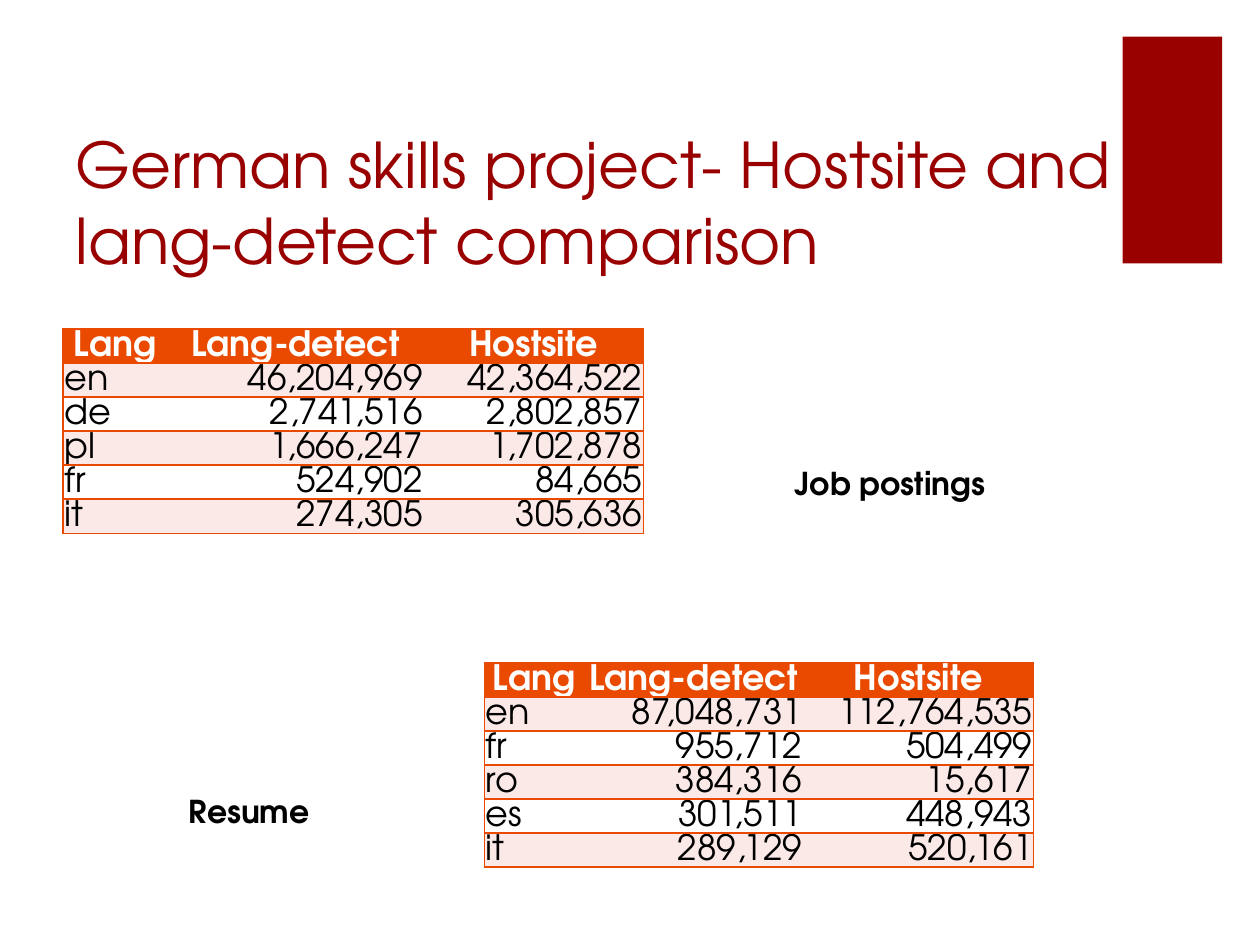
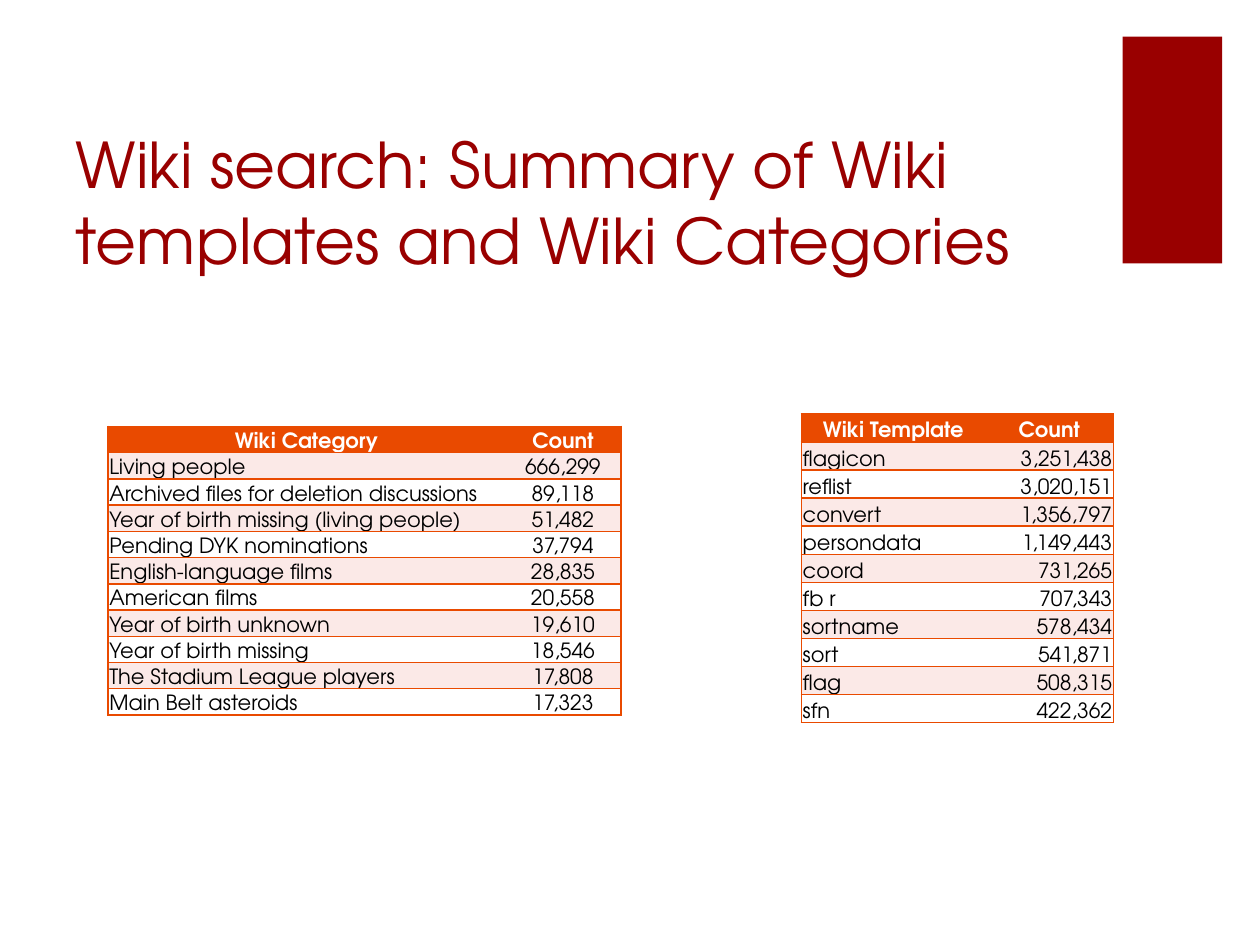
"""Build two slides that compare language counts and wiki counts in tables."""
from dataclasses import dataclass

from lxml import etree
from pptx import Presentation
from pptx.dml.color import RGBColor
from pptx.enum import shapes, text
from pptx.oxml import ns
from pptx.util import Pt

FONT = "TeX Gyre Adventor"
RED = RGBColor(0x99, 0x00, 0x00)
ORANGE = RGBColor(0xE9, 0x4A, 0x00)
PINK = RGBColor(0xFB, 0xE9, 0xE7)
WHITE = RGBColor(0xFF, 0xFF, 0xFF)
BLACK = RGBColor(0x00, 0x00, 0x00)
LEFT, CENTER, RIGHT = text.PP_ALIGN.LEFT, text.PP_ALIGN.CENTER, text.PP_ALIGN.RIGHT
TITLE_ONLY = 5
INSET = Pt(0.72)


@dataclass(frozen=True)
class CountTable:
    left: float
    top: float
    widths: tuple[float, ...]
    row_height: float
    size: int
    count_align: text.PP_ALIGN
    rows: tuple[tuple[str, ...], ...]


@dataclass(frozen=True)
class Label:
    left: float
    top: float
    width: float
    words: str


@dataclass(frozen=True)
class Page:
    title: str
    tables: tuple[CountTable, ...]
    labels: tuple[Label, ...] = ()


LANGUAGE_HEADER = ("Lang", "Lang-detect", "Hostsite")

JOB_POSTINGS = CountTable(36, 187.92, (59.76, 146.4, 125.5), 19.5, 20, RIGHT, (
    LANGUAGE_HEADER,
    ("en", "46,204,969", "42,364,522"),
    ("de", "2,741,516", "2,802,857"),
    ("pl", "1,666,247", "1,702,878"),
    ("fr", "524,902", "84,665"),
    ("it", "274,305", "305,636"),
))

RESUMES = CountTable(276.75, 378.72, (56.9, 125.3, 131.75), 19.5, 20, RIGHT, (
    LANGUAGE_HEADER,
    ("en", "87,048,731", "112,764,535"),
    ("fr", "955,712", "504,499"),
    ("ro", "384,316", "15,617"),
    ("es", "301,511", "448,943"),
    ("it", "289,129", "520,161"),
))

WIKI_CATEGORIES = CountTable(61.75, 243.6, (226.8, 66.25), 15, 12, CENTER, (
    ("Wiki Category", "Count"),
    ("Living people", "666,299"),
    ("Archived files for deletion discussions", "89,118"),
    ("Year of birth missing (living people)", "51,482"),
    ("Pending DYK nominations", "37,794"),
    ("English-language films", "28,835"),
    ("American films", "20,558"),
    ("Year of birth unknown", "19,610"),
    ("Year of birth missing", "18,546"),
    ("The Stadium League players", "17,808"),
    ("Main Belt asteroids", "17,323"),
))

WIKI_TEMPLATES = CountTable(458, 236.5, (105, 73.2), 16.05, 12, RIGHT, (
    ("Wiki Template", "Count"),
    ("flagicon", "3,251,438"),
    ("reflist", "3,020,151"),
    ("convert", "1,356,797"),
    ("persondata", "1,149,443"),
    ("coord", "731,265"),
    ("fb r", "707,343"),
    ("sortname", "578,434"),
    ("sort", "541,871"),
    ("flag", "508,315"),
    ("sfn", "422,362"),
))

PAGES = (
    Page("German skills project- Hostsite and lang-detect comparison",
         (JOB_POSTINGS, RESUMES),
         (Label(100.8, 449.28, 84.24, "Resume"),
          Label(447.12, 261.36, 123.84, "Job postings"))),
    Page("Wiki search: Summary of Wiki templates and Wiki Categories",
         (WIKI_CATEGORIES, WIKI_TEMPLATES)),
)


def style_para(para, size: float, color: RGBColor, bold: bool = False,
               align: text.PP_ALIGN = LEFT) -> None:
    para.alignment = align
    para.font.name = FONT
    para.font.size = Pt(size)
    para.font.bold = bold
    para.font.color.rgb = color


def set_borders(cell, outer_left: bool, outer_right: bool) -> None:
    sides = {"lnL": outer_left, "lnR": outer_right, "lnT": True, "lnB": True}
    properties = cell._tc.get_or_add_tcPr()
    for position, (side, visible) in enumerate(sides.items()):
        line = etree.Element(ns.qn(f"a:{side}"), w=str(Pt(1)))
        if visible:
            fill = etree.SubElement(line, ns.qn("a:solidFill"))
            etree.SubElement(fill, ns.qn("a:srgbClr"), val=str(ORANGE))
        else:
            etree.SubElement(line, ns.qn("a:noFill"))
        properties.insert(position, line)


def add_count_table(slide, item: CountTable) -> None:
    row_count, column_count = len(item.rows), len(item.widths)
    table = slide.shapes.add_table(
        row_count, column_count, Pt(item.left), Pt(item.top),
        Pt(sum(item.widths)), Pt(item.row_height * row_count)).table
    for column, width in zip(table.columns, item.widths):
        column.width = Pt(width)
    for row_index, values in enumerate(item.rows):
        table.rows[row_index].height = Pt(item.row_height)
        header = row_index == 0
        fill = ORANGE if header else PINK if row_index % 2 else WHITE
        for column_index, value in enumerate(values):
            cell = table.cell(row_index, column_index)
            cell.text = value
            cell.vertical_anchor = text.MSO_ANCHOR.BOTTOM
            cell.margin_left = cell.margin_right = cell.margin_top = INSET
            cell.margin_bottom = 0
            cell.fill.solid()
            cell.fill.fore_color.rgb = fill
            set_borders(cell, column_index == 0, column_index == column_count - 1)
            align = CENTER if header else item.count_align if column_index else LEFT
            style_para(cell.text_frame.paragraphs[0], item.size,
                       WHITE if header else BLACK, header, align)


def add_label(slide, label: Label) -> None:
    box = slide.shapes.add_textbox(Pt(label.left), Pt(label.top),
                                   Pt(label.width), Pt(29))
    frame = box.text_frame
    frame.word_wrap = False
    frame.auto_size = text.MSO_AUTO_SIZE.SHAPE_TO_FIT_TEXT
    frame.text = label.words
    style_para(frame.paragraphs[0], 18, BLACK, bold=True)


def add_band(slide) -> None:
    band = slide.shapes.add_shape(shapes.MSO_SHAPE.RECTANGLE,
                                  Pt(641.5), Pt(21), Pt(56.9), Pt(129.6))
    band.shadow.inherit = False
    band.fill.solid()
    band.fill.fore_color.rgb = RED
    band.line.fill.background()


def set_title(slide, words: str) -> None:
    title = slide.shapes.title
    title.left, title.top = Pt(36), Pt(72)
    title.width, title.height = Pt(617.75), Pt(90)
    frame = title.text_frame
    frame.text = words
    frame.word_wrap = True
    frame.auto_size = text.MSO_AUTO_SIZE.NONE
    frame.vertical_anchor = text.MSO_ANCHOR.BOTTOM
    style_para(frame.paragraphs[0], 36, RED)


def add_page(deck, page: Page) -> None:
    slide = deck.slides.add_slide(deck.slide_layouts[TITLE_ONLY])
    add_band(slide)
    set_title(slide, page.title)
    for item in page.tables:
        add_count_table(slide, item)
    for label in page.labels:
        add_label(slide, label)


def main() -> None:
    deck = Presentation()
    deck.slide_width, deck.slide_height = Pt(720), Pt(540)
    for page in PAGES:
        add_page(deck, page)
    deck.save("out.pptx")


if __name__ == "__main__":
    main()
